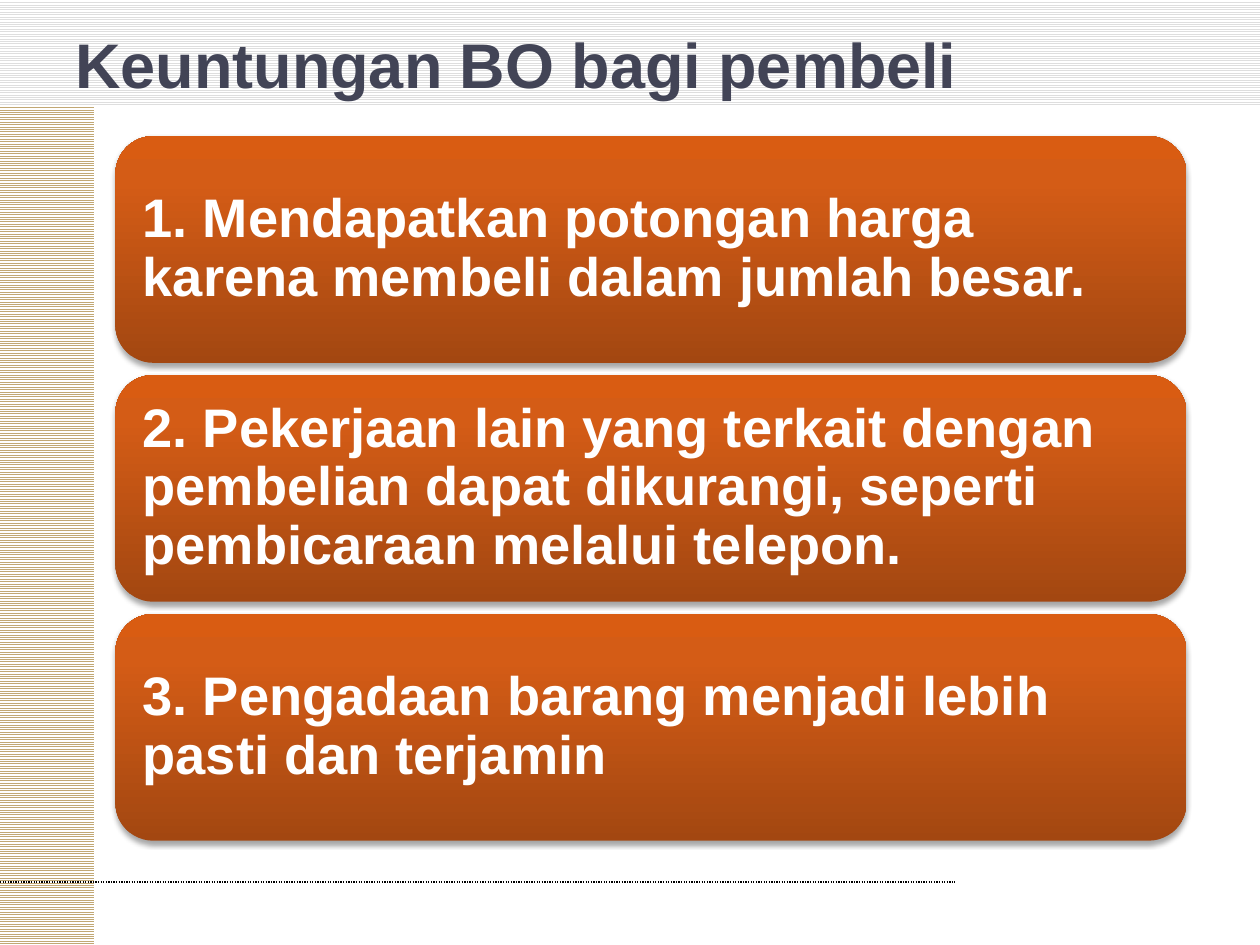
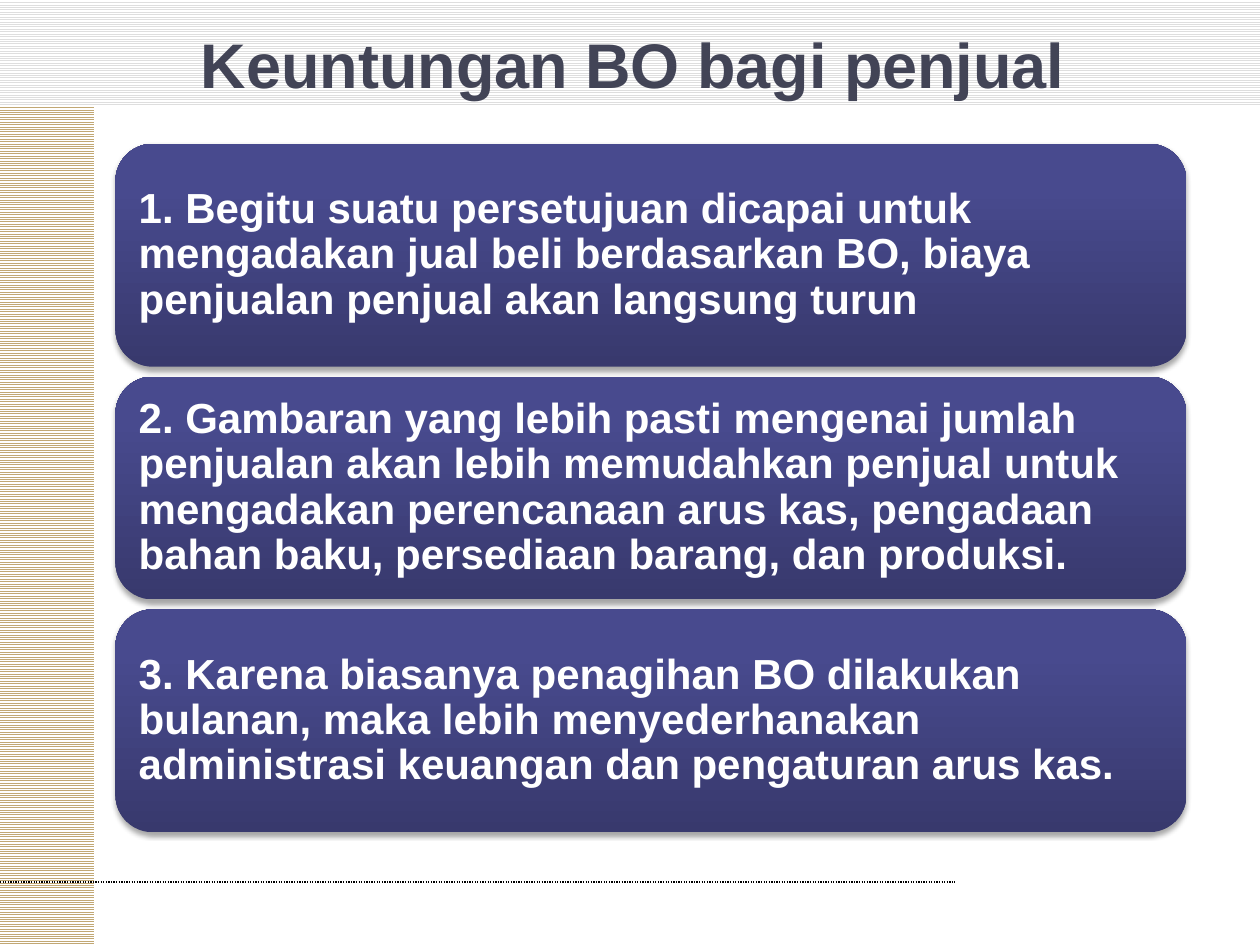
from copy import deepcopy

from lxml.etree import SubElement
from pptx import Presentation
from pptx.dml.color import RGBColor
from pptx.enum.dml import MSO_LINE, MSO_PATTERN
from pptx.enum.shapes import MSO_CONNECTOR, MSO_SHAPE
from pptx.enum.text import MSO_ANCHOR, PP_ALIGN
from pptx.oxml.ns import qn
from pptx.util import Pt

WHITE = RGBColor(0xFF, 0xFF, 0xFF)
BLACK = RGBColor(0x00, 0x00, 0x00)
SLATE = RGBColor(0x42, 0x44, 0x56)
SILVER = RGBColor(0xDE, 0xDE, 0xDE)
GOLD = RGBColor(0xC2, 0xA8, 0x74)
ORANGES = (
    RGBColor(0xA3, 0x47, 0x11),
    RGBColor(0xD4, 0x5C, 0x16),
    RGBColor(0xD9, 0x5C, 0x12),
)
INDIGOS = (
    RGBColor(0x38, 0x39, 0x6D),
    RGBColor(0x48, 0x4A, 0x8E),
    RGBColor(0x47, 0x49, 0x90),
)
STOPS = (0, 0.8, 1)
FONT = "Arial"
WIDTH, HEIGHT = Pt(720), Pt(540)
BAND_HEIGHT, SIDE_WIDTH = Pt(60), Pt(54)
TITLE_BOX = (Pt(36), Pt(18), Pt(651.6), Pt(36))

BUYER_POINTS = (
    "1. Mendapatkan potongan harga karena membeli dalam jumlah besar.",
    "2. Pekerjaan lain yang terkait dengan pembelian dapat dikurangi, "
    "seperti pembicaraan melalui telepon.",
    "3. Pengadaan barang menjadi lebih pasti dan terjamin",
)
SELLER_POINTS = (
    "1. Begitu suatu persetujuan dicapai untuk mengadakan jual beli "
    "berdasarkan BO, biaya penjualan penjual akan langsung turun",
    "2. Gambaran yang lebih pasti mengenai jumlah penjualan akan lebih "
    "memudahkan penjual untuk mengadakan perencanaan arus kas, pengadaan "
    "bahan baku, persediaan barang, dan produksi.",
    "3. Karena biasanya penagihan BO dilakukan bulanan, maka lebih "
    "menyederhanakan administrasi keuangan dan pengaturan arus kas.",
)


def write_text(shape, text, *, size, color, align=PP_ALIGN.LEFT, spacing=1.0, inset=None):
    """Fill a shape with one bold, vertically centred paragraph."""
    frame = shape.text_frame
    frame.word_wrap = True
    frame.vertical_anchor = MSO_ANCHOR.MIDDLE
    if inset is not None:
        frame.margin_left = frame.margin_right = inset
        frame.margin_top = frame.margin_bottom = inset
    para = frame.paragraphs[0]
    para.alignment = align
    para.line_spacing = spacing
    span = para.add_run()
    span.text = text
    span.font.name = FONT
    span.font.size = size
    span.font.bold = True
    span.font.color.rgb = color


def add_striped_band(page, box, color):
    """Draw a rectangle of fine horizontal stripes."""
    band = page.shapes.add_shape(MSO_SHAPE.RECTANGLE, *box)
    band.shadow.inherit = False
    band.line.fill.background()
    band.fill.patterned()
    band.fill.pattern = MSO_PATTERN.LIGHT_HORIZONTAL
    band.fill.fore_color.rgb = color
    band.fill.back_color.rgb = WHITE


def add_footer_rule(page, top, length):
    """Draw the dotted rule that starts at the left edge."""
    rule = page.shapes.add_connector(MSO_CONNECTOR.STRAIGHT, 0, top, length, top)
    rule.line.color.rgb = BLACK
    rule.line.width = Pt(0.75)
    rule.line.dash_style = MSO_LINE.ROUND_DOT
    SubElement(rule._element.spPr, qn("a:effectLst"))


def add_soft_shadow(shape):
    """Give a shape a faint shadow that falls straight down."""
    shape.shadow.inherit = False
    effects = shape._element.spPr.find(qn("a:effectLst"))
    shadow = SubElement(
        effects, qn("a:outerShdw"), blurRad=str(Pt(3.1)), dist=str(Pt(1.8)),
        dir="5400000", rotWithShape="0",
    )
    color = SubElement(shadow, qn("a:srgbClr"), val=str(BLACK))
    SubElement(color, qn("a:alpha"), val="35000")


def shade_upward(shape, colors):
    """Fill a shape with a three-stop gradient from bottom to top."""
    shape.fill.gradient()
    shape.fill.gradient_angle = 90
    stop_list = shape._element.spPr.find(".//" + qn("a:gsLst"))
    stop_list.append(deepcopy(stop_list[0]))
    for stop, color, position in zip(shape.fill.gradient_stops, colors, STOPS):
        stop.color.rgb = color
        stop.position = position


def add_cards(page, box, points, *, colors, gap, size, inset):
    """Stack equal rounded cards, one per point, inside the box."""
    left, top, width, height = box
    card_height = (height - gap * (len(points) - 1)) // len(points)
    for index, point in enumerate(points):
        card_top = top + index * (card_height + gap)
        card = page.shapes.add_shape(
            MSO_SHAPE.ROUNDED_RECTANGLE, left, card_top, width, card_height
        )
        card.line.fill.background()
        shade_upward(card, colors)
        add_soft_shadow(card)
        write_text(card, point, size=size, color=WHITE, spacing=0.9, inset=inset)


def add_page(deck, title, align):
    """Add a slide with the shared bands, rule and title."""
    page = deck.slides.add_slide(deck.slide_layouts[6])
    add_striped_band(page, (0, 0, WIDTH, BAND_HEIGHT), SILVER)
    add_striped_band(page, (0, BAND_HEIGHT, SIDE_WIDTH, HEIGHT - BAND_HEIGHT), GOLD)
    add_footer_rule(page, Pt(504), Pt(546))
    heading = page.shapes.add_textbox(*TITLE_BOX)
    write_text(heading, title, size=Pt(36), color=SLATE, align=align)
    return page


def main():
    """Build both slides and save the deck."""
    deck = Presentation()
    deck.slide_width, deck.slide_height = WIDTH, HEIGHT
    buyer = add_page(deck, "Keuntungan BO bagi pembeli", PP_ALIGN.LEFT)
    add_cards(
        buyer, (Pt(66), Pt(77.8), Pt(612), Pt(402.6)), BUYER_POINTS,
        colors=ORANGES, gap=Pt(7), size=Pt(31), inset=Pt(9.3),
    )
    seller = add_page(deck, "Keuntungan BO bagi penjual", PP_ALIGN.CENTER)
    add_cards(
        seller, (Pt(66), Pt(82.2), Pt(612), Pt(393.4)), SELLER_POINTS,
        colors=INDIGOS, gap=Pt(5.6), size=Pt(24), inset=Pt(7.2),
    )
    deck.save("out.pptx")


if __name__ == "__main__":
    main()
